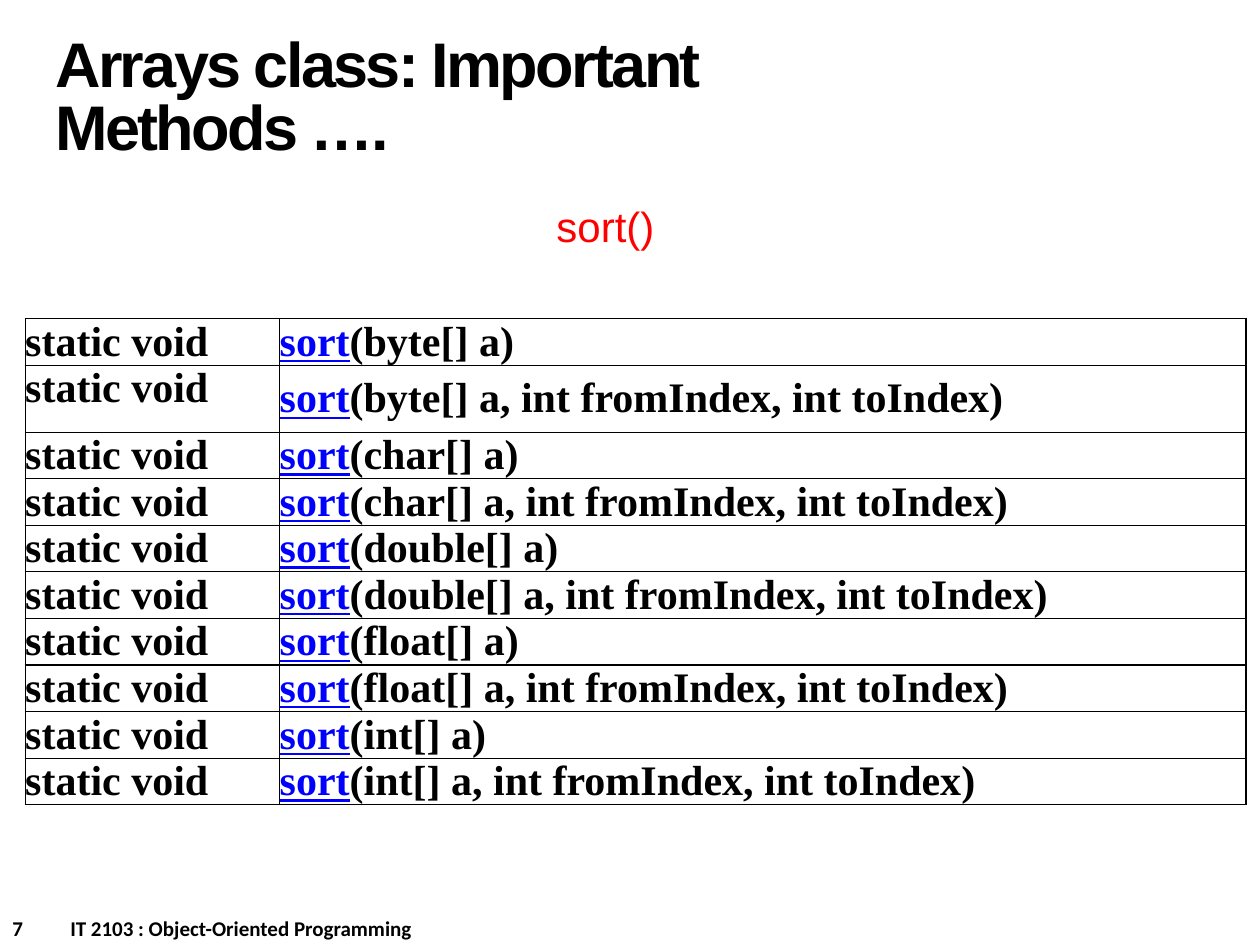
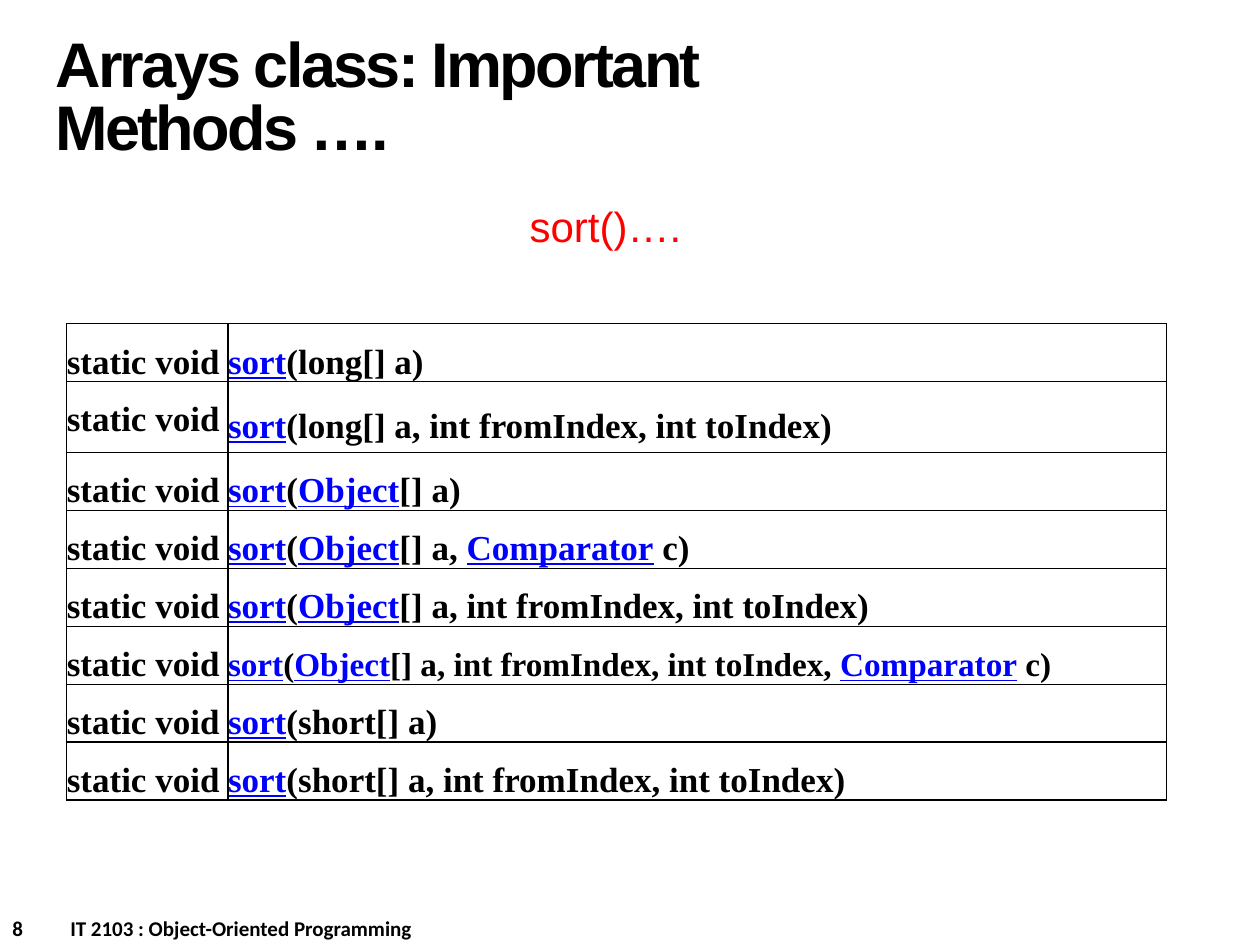
from lxml.etree import SubElement
from pptx import Presentation
from pptx.dml.color import RGBColor
from pptx.enum.text import MSO_ANCHOR, PP_ALIGN
from pptx.oxml import parse_xml
from pptx.oxml.ns import nsdecls, qn
from pptx.util import Inches, Pt

BLACK = RGBColor(0, 0, 0)
WHITE = RGBColor(255, 255, 255)
RED = RGBColor(255, 0, 0)
BLUE = RGBColor(0, 0, 255)

TITLE = "Arrays class: Important Methods …."
COURSE = "IT 2103 : Object-Oriented Programming"
KIND = "static void"
LINKS = ("sort", "Object", "Comparator")
RANGE = ", int fromIndex, int toIndex"

HEAD = {"name": "Arial", "size": Pt(36), "bold": True}
SUB = {"name": "Arial", "size": Pt(24), "bold": False}
FOOT = {"name": "Calibri", "size": Pt(12), "bold": True}
CODE = {"name": "Times New Roman", "bold": True}

PAGES = [
    {
        "number": 7, "method": "sort()", "at": (0.2, 2.53),
        "cols": (2.02, 7.67), "row": 0.37, "second": 0.53,
        "size": 24, "lines": 26.6, "small": None,
        "calls": [f"sort|({kind}[] a{part})"
                  for kind in ("byte", "char", "double", "float", "int")
                  for part in ("", RANGE)],
    },
    {
        "number": 8, "method": "sort()….", "at": (0.53, 2.57),
        "cols": (1.28, 7.45), "row": 0.46, "second": 0.56,
        "size": 20, "lines": 33, "small": 5,
        "calls": [
            "sort|(long[] a)",
            f"sort|(long[] a{RANGE})",
            "sort|(|Object|[] a)",
            "sort|(|Object|[] a, |Comparator| c)",
            f"sort|(|Object|[] a{RANGE})",
            f"sort|(|Object|[] a{RANGE}, |Comparator| c)",
            "sort|(short[] a)",
            f"sort|(short[] a{RANGE})",
        ],
    },
]


def add_run(para, text, look, color=BLACK):
    run = para.add_run()
    run.text = text
    for key, value in look.items():
        setattr(run.font, key, value)
    run.font.color.rgb = color
    return run


def add_box(slide, *place):
    frame = slide.shapes.add_textbox(*map(Inches, place)).text_frame
    frame.word_wrap = True
    return frame


def add_title(slide):
    frame = add_box(slide, 0.34, 0.17, 6.92, 1.25)
    frame.vertical_anchor = MSO_ANCHOR.MIDDLE
    para = frame.paragraphs[0]
    para.line_spacing = Pt(36)
    run = add_run(para, TITLE, HEAD)
    run.font._element.set("spc", "-150")


def add_method(slide, text):
    para = add_box(slide, 0.2, 1.54, 9.21, 0.5).paragraphs[0]
    para.alignment = PP_ALIGN.CENTER
    add_run(para, text, SUB, RED)


def add_footer(slide, number):
    para = add_box(slide, 0, 7.22, 5, 0.3).paragraphs[0]
    tabs = SubElement(para._p.get_or_add_pPr(), qn("a:tabLst"))
    SubElement(tabs, qn("a:tab"), pos=str(Inches(0.46)), algn="l")
    add_run(para, f"{number}\t{COURSE}", FOOT)


def add_edges(cell):
    props = cell._tc.get_or_add_tcPr()
    for spot, side in enumerate("LRTB"):
        props.insert(spot, parse_xml(
            f'<a:ln{side} {nsdecls("a")} w="{Pt(0.75)}"><a:solidFill>'
            f'<a:srgbClr val="{BLACK}"/></a:solidFill></a:ln{side}>'))


def fill_cell(cell, parts, size, lines):
    for side in ("left", "right", "top", "bottom"):
        setattr(cell, f"margin_{side}", 0)
    cell.fill.solid()
    cell.fill.fore_color.rgb = WHITE
    add_edges(cell)
    para = cell.text_frame.paragraphs[0]
    para.line_spacing = Pt(lines)
    for part in parts:
        link = part in LINKS
        look = {**CODE, "size": Pt(size), "underline": link}
        add_run(para, part, look, BLUE if link else BLACK)


def add_calls(slide, page):
    calls, cols, size = page["calls"], page["cols"], page["size"]
    tops = [page["row"]] * len(calls)
    tops[1] = page["second"]
    place = (*page["at"], sum(cols), sum(tops))
    table = slide.shapes.add_table(
        len(calls), len(cols), *map(Inches, place)).table
    table.first_row = table.horz_banding = False
    for col, width in zip(table.columns, cols):
        col.width = Inches(width)
    for index, (call, height) in enumerate(zip(calls, tops)):
        table.rows[index].height = Inches(height)
        kind, code = table.cell(index, 0), table.cell(index, 1)
        fill_cell(kind, [KIND], size, page["lines"])
        fit = size - 1 if index == page["small"] else size
        fill_cell(code, call.split("|"), fit, page["lines"])
        code.vertical_anchor = MSO_ANCHOR.MIDDLE


def main():
    deck = Presentation()
    deck.slide_width, deck.slide_height = Inches(10), Inches(7.5)
    for page in PAGES:
        slide = deck.slides.add_slide(deck.slide_layouts[6])
        add_footer(slide, page["number"])
        add_title(slide)
        add_calls(slide, page)
        add_method(slide, page["method"])
    deck.save("out.pptx")


if __name__ == "__main__":
    main()
